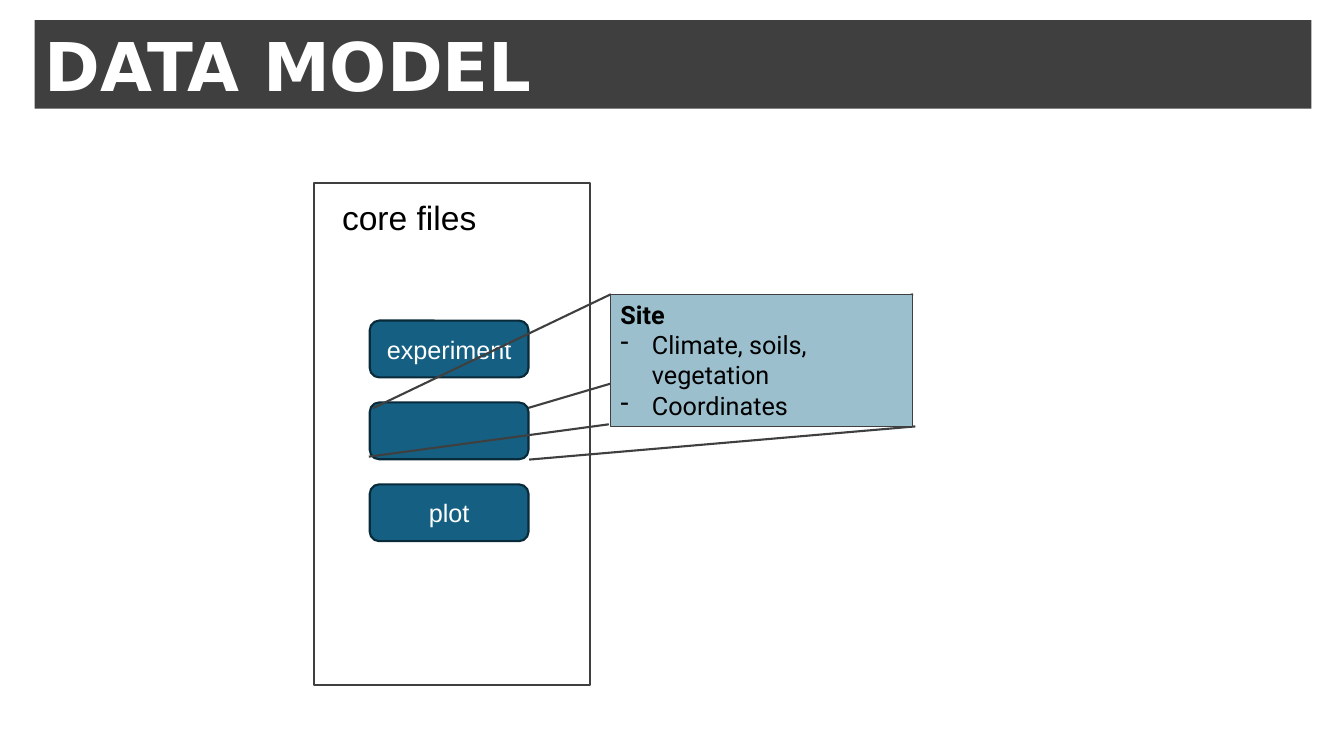
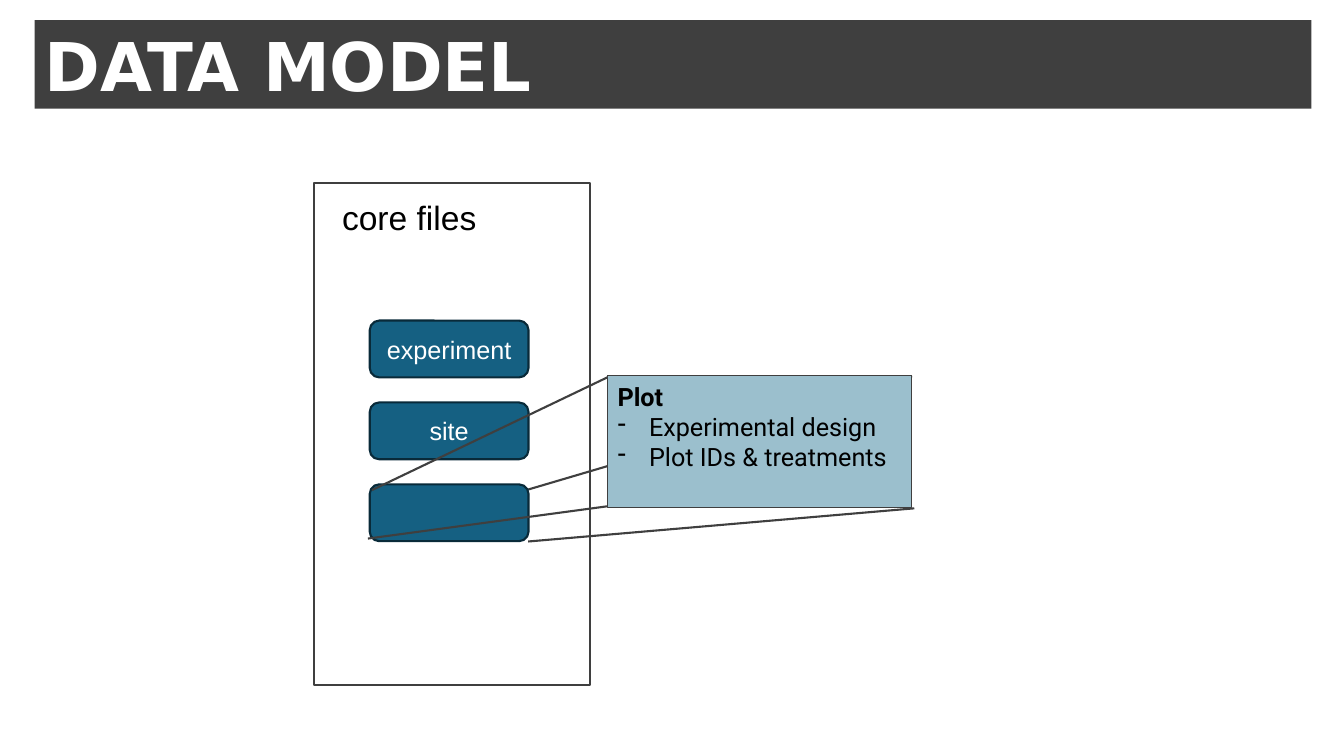
from dataclasses import dataclass
from typing import Any, NamedTuple, Optional

from pptx import Presentation
from pptx.dml.color import RGBColor
from pptx.enum.shapes import MSO_CONNECTOR, MSO_SHAPE
from pptx.enum.text import MSO_ANCHOR, PP_ALIGN
from pptx.oxml.ns import qn
from pptx.util import Pt
from lxml.etree import SubElement

WHITE = RGBColor(0xFF, 0xFF, 0xFF)
BLACK = RGBColor(0x00, 0x00, 0x00)
CHARCOAL = RGBColor(0x3F, 0x3F, 0x3F)
TEAL = RGBColor(0x15, 0x60, 0x82)
DEEP_TEAL = RGBColor(0x09, 0x2A, 0x39)
PALE_BLUE = RGBColor(0x9B, 0xBF, 0xCD)


class Box(NamedTuple):
    left: float
    top: float
    width: float
    height: float


class Ray(NamedTuple):
    x1: float
    y1: float
    x2: float
    y2: float


@dataclass(frozen=True)
class TextStyle:
    font: dict[str, Any]
    color: RGBColor
    align: PP_ALIGN = PP_ALIGN.LEFT
    anchor: MSO_ANCHOR = MSO_ANCHOR.MIDDLE


@dataclass(frozen=True)
class Detail:
    row: int
    heading: str
    bullets: tuple[str, ...]
    box: Box
    ray_shift: float


TITLE = TextStyle({"name": "DejaVu Sans", "size": Pt(48), "bold": True}, WHITE)
FILE_LABEL = TextStyle({"name": "Arial", "size": Pt(18)}, WHITE, PP_ALIGN.CENTER)
PANEL_LABEL = TextStyle({"name": "Arial", "size": Pt(24)}, BLACK,
                        PP_ALIGN.CENTER, MSO_ANCHOR.TOP)
DETAIL_HEADING = TextStyle({"name": "Roboto", "size": Pt(18), "bold": True}, BLACK,
                           anchor=MSO_ANCHOR.TOP)
DETAIL_BULLET = TextStyle({"name": "Roboto", "size": Pt(18), "bold": False}, BLACK,
                          anchor=MSO_ANCHOR.TOP)

BAND = Box(24.8, 14.4, 912, 63.2)
PANEL = Box(224, 131, 197.2, 358.6)
PANEL_CAPTION = Box(226.8, 136.8, 131, 36)
FIRST_FILE = Box(264.1, 229, 113.4, 40.6)
ROW_STEP = 58.5
BULLET_INDENT = Pt(22.5)
FILES = ("experiment", "site", "plot")

BACK_RAY = Ray(376.6, 291.6, 652.2, 210.2)
FRONT_RAYS = (
    Ray(378, 328.3, 653.8, 304.6),
    Ray(266.4, 291.6, 436.3, 210.2),
    Ray(263.5, 326.2, 434.9, 303.1),
)

DETAILS = (
    Detail(1, "Site", ("Climate, soils, vegetation", "Coordinates"),
           Box(436.1, 210.2, 216, 94.3), 0),
    Detail(2, "Plot", ("Experimental design", "Plot IDs & treatments"),
           Box(434, 268.5, 217.4, 94.3), -0.7),
)


def add_text(p, text: str, style: TextStyle) -> None:
    p.alignment = style.align
    r = p.add_run()
    r.text = text
    for name, value in style.font.items():
        setattr(r.font, name, value)
    r.font.color.rgb = style.color


def set_text(sp, text: str, style: TextStyle) -> None:
    tf = sp.text_frame
    tf.word_wrap = True
    tf.vertical_anchor = style.anchor
    add_text(tf.paragraphs[0], text, style)


def add_box(s, box: Box, fill: Optional[RGBColor] = None,
            line: Optional[RGBColor] = None, weight: float = 1.5,
            kind: MSO_SHAPE = MSO_SHAPE.RECTANGLE):
    sp = s.shapes.add_shape(kind, *map(Pt, box))
    sp.shadow.inherit = False
    if fill is None:
        sp.fill.background()
    else:
        sp.fill.solid()
        sp.fill.fore_color.rgb = fill
    if line is None:
        sp.line.fill.background()
    else:
        sp.line.color.rgb = line
        sp.line.width = Pt(weight)
    return sp


def add_ray(s, ray: Ray, dx: float, dy: float) -> None:
    ends = (ray.x1 + dx, ray.y1 + dy, ray.x2 + dx, ray.y2 + dy)
    cn = s.shapes.add_connector(MSO_CONNECTOR.STRAIGHT, *map(Pt, ends))
    cn.line.color.rgb = CHARCOAL
    cn.line.width = Pt(1.5)
    SubElement(cn.element.spPr, qn("a:effectLst"))


def add_bullet(tf, text: str) -> None:
    p = tf.add_paragraph()
    pPr = p._p.get_or_add_pPr()
    pPr.set("marL", str(BULLET_INDENT))
    pPr.set("indent", str(-BULLET_INDENT))
    SubElement(pPr, qn("a:buChar"), char="-")
    add_text(p, text, DETAIL_BULLET)


def add_files(s, open_row: int) -> None:
    for row, name in enumerate(FILES):
        box = FIRST_FILE._replace(top=FIRST_FILE.top + row * ROW_STEP)
        sp = add_box(s, box, TEAL, DEEP_TEAL, kind=MSO_SHAPE.ROUNDED_RECTANGLE)
        if row != open_row:
            set_text(sp, name, FILE_LABEL)


def add_detail(s, detail: Detail) -> None:
    sp = add_box(s, detail.box, PALE_BLUE, CHARCOAL, 0.75)
    set_text(sp, detail.heading, DETAIL_HEADING)
    for text in detail.bullets:
        add_bullet(sp.text_frame, text)


def add_model_slide(prs, detail: Detail) -> None:
    s = prs.slides.add_slide(prs.slide_layouts[6])
    dx, dy = detail.ray_shift, (detail.row - 1) * ROW_STEP
    add_ray(s, BACK_RAY, dx, dy)
    set_text(add_box(s, BAND, CHARCOAL), "DATA MODEL", TITLE)
    add_files(s, detail.row)
    for ray in FRONT_RAYS:
        add_ray(s, ray, dx, dy)
    add_detail(s, detail)
    caption = s.shapes.add_textbox(*map(Pt, PANEL_CAPTION))
    set_text(caption, "core files", PANEL_LABEL)
    add_box(s, PANEL, line=CHARCOAL)


def main() -> None:
    prs = Presentation()
    prs.slide_width, prs.slide_height = Pt(960), Pt(540)
    for detail in DETAILS:
        add_model_slide(prs, detail)
    prs.save("out.pptx")


if __name__ == "__main__":
    main()
